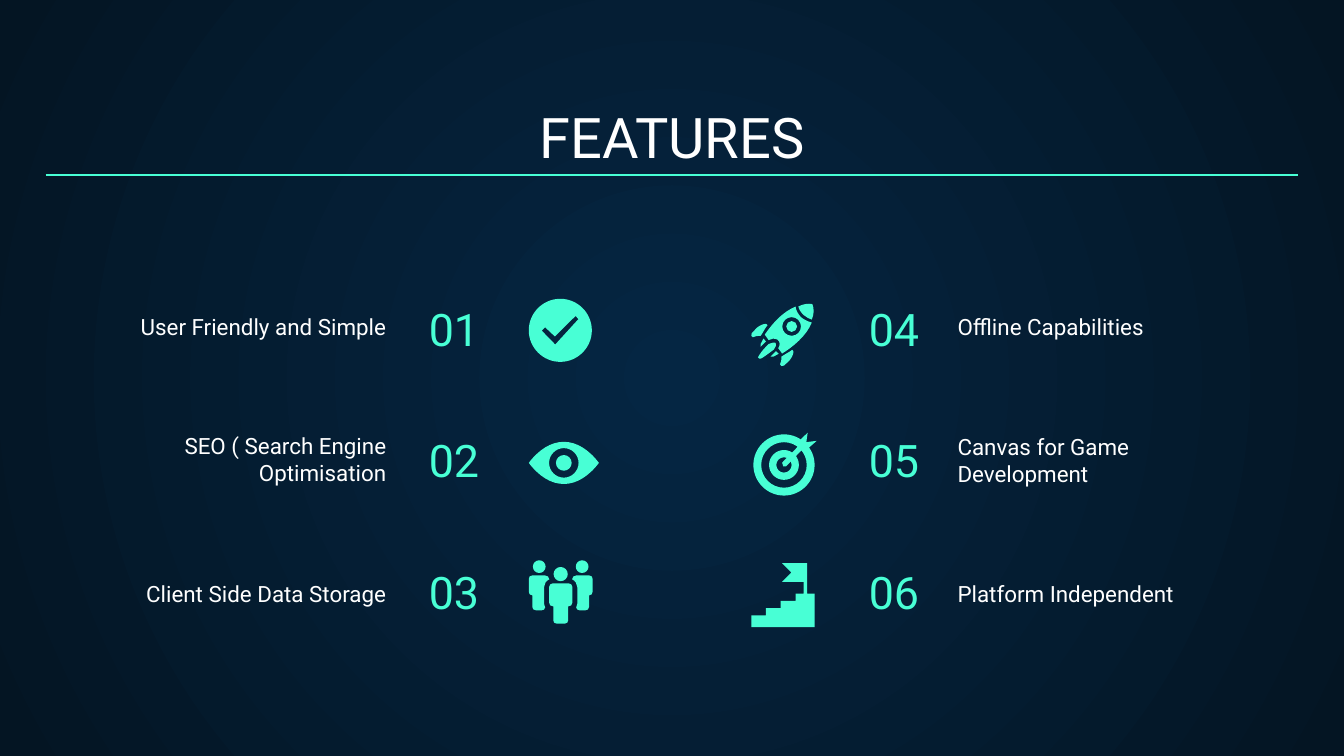
import dataclasses

import pptx
import pptx.dml.color
import pptx.enum.shapes
import pptx.enum.text
import pptx.oxml
import pptx.oxml.ns
import pptx.util

Pt = pptx.util.Pt
ALIGN = pptx.enum.text.PP_ALIGN
NAMESPACE = pptx.oxml.ns.nsdecls("a")


@dataclasses.dataclass
class Theme:
    accent: str = "48FFD5"
    text: str = "FFFFFF"
    center: str = "052643"
    edge: str = "041523"
    font: str = "Roboto"
    title_size: float = 30
    number_size: float = 24
    label_size: float = 12


def color(code):
    return pptx.dml.color.RGBColor.from_string(code)


def pairs(segment):
    return list(zip(segment[::2], segment[1::2]))


def circle(x, y, radius):
    pull = 0.55 * radius
    left, right, top, bottom = x - radius, x + radius, y - radius, y + radius
    return [(x, top), (x + pull, top, right, y - pull, right, y),
            (right, y + pull, x + pull, bottom, x, bottom),
            (x - pull, bottom, left, y + pull, left, y),
            (left, y - pull, x - pull, top, x, top)]


def flip(contour, axis):
    return [sum(((2 * axis - x, y) for x, y in pairs(segment)), ()) for segment in contour]


def flip_diagonal(contour, total):
    return [sum(((total - y, total - x) for x, y in pairs(segment)), ()) for segment in contour]


class SlideBuilder:
    """Draw styled elements on the current slide."""

    def __init__(self, slide, theme):
        self.slide = slide
        self.theme = theme

    def background(self):
        fill = self.slide.background.fill
        fill.gradient()
        for stop, code, position in zip(fill.gradient_stops,
                                        (self.theme.center, self.theme.edge), (0, 1)):
            stop.color.rgb = color(code)
            stop.position = position
        linear = self.slide.element.find(".//" + pptx.oxml.ns.qn("a:lin"))
        radial = pptx.oxml.parse_xml(
            f'<a:path {NAMESPACE} path="circle">'
            '<a:fillToRect l="50000" t="50000" r="50000" b="50000"/></a:path>')
        linear.getparent().replace(linear, radial)

    def text(self, words, left, top, width, height, size, code, align):
        box = self.slide.shapes.add_textbox(Pt(left), Pt(top), Pt(width), Pt(height))
        frame = box.text_frame
        frame.word_wrap = True
        frame.vertical_anchor = pptx.enum.text.MSO_ANCHOR.BOTTOM
        frame.margin_left = frame.margin_right = Pt(7.2)
        frame.margin_top = frame.margin_bottom = Pt(7.2)
        frame.text = words
        para = frame.paragraphs[0]
        para.alignment = align
        span = para.runs[0]
        span.font.size = Pt(size)
        span.font.name = self.theme.font
        span.font.color.rgb = color(code)

    def rule(self, left, right, y):
        line = self.slide.shapes.add_connector(
            pptx.enum.shapes.MSO_CONNECTOR.STRAIGHT, Pt(left), Pt(y), Pt(right), Pt(y))
        line.line.color.rgb = color(self.theme.accent)
        line.line.width = Pt(0.75)
        line._element.spPr.append(pptx.oxml.parse_xml(f'<a:effectLst {NAMESPACE}/>'))

    def outline(self, *contours):
        anchors = [[(Pt(segment[-2]), Pt(segment[-1])) for segment in contour]
                   for contour in contours]
        builder = self.slide.shapes.build_freeform(*anchors[0][0], scale=1.0)
        for index, points in enumerate(anchors):
            if index:
                builder.move_to(*points[0])
            builder.add_line_segments(points[1:], close=False)
            builder.add_line_segments([], close=True)
        shape = builder.convert_to_shape()
        self.bend(shape, [segment for contour in contours for segment in contour[1:]])
        shape.fill.solid()
        shape.fill.fore_color.rgb = color(self.theme.accent)
        shape.line.fill.background()
        shape.shadow.inherit = False

    def bend(self, shape, segments):
        edges = list(shape._element.iter(pptx.oxml.ns.qn("a:lnTo")))
        for edge, segment in zip(edges, segments):
            if len(segment) == 6:
                points = "".join(f'<a:pt x="{Pt(x) - shape.left}" y="{Pt(y) - shape.top}"/>'
                                 for x, y in pairs(segment))
                cubic = pptx.oxml.parse_xml(
                    f'<a:cubicBezTo {NAMESPACE}>{points}</a:cubicBezTo>')
                edge.getparent().replace(edge, cubic)


def draw_check(page):
    page.outline(circle(300.2, 177, 16.9),
                 [(308.4, 169.3), (309.9, 171), (297.5, 184.6),
                  (290.3, 177.2), (292.1, 175.4), (297.3, 180.3)])


def draw_eye(page):
    lids = [(283.3, 248), (288.7, 240.9, 295.2, 236.7, 302.1, 236.7),
            (309, 236.7, 315.5, 240.9, 320.9, 248),
            (315.5, 255.1, 309, 259.3, 302.1, 259.3),
            (295.2, 259.3, 288.7, 255.1, 283.3, 248)]
    page.outline(lids, circle(302.1, 248, 7.9), circle(302.1, 248, 4.2))


def draw_people(page):
    axis = 300.4
    head = circle(288.9, 303.6, 3.4)
    torso = [(285.2, 308.3), (292, 308.3), (293.3, 308.3, 294.3, 309.2, 294.3, 310.4),
             (292.6, 311.2, 291.5, 312.8, 291.5, 314.6), (291.5, 323.5),
             (291.5, 324.2, 291.7, 324.9, 292.1, 325.5), (291.9, 326.5, 291.2, 327, 290.2, 327),
             (287.2, 327), (286, 327, 285.2, 326.3, 285.2, 325.2), (285.2, 319),
             (284, 319, 283.3, 318.2, 283.3, 317), (283.3, 310.2),
             (283.3, 309, 284, 308.3, 285.2, 308.3)]
    for part in (head, torso):
        page.outline(part)
        page.outline(flip(part, axis))
    page.outline([(296, 312.6), (304.8, 312.6), (305.8, 312.6, 306.6, 313.4, 306.6, 314.4),
                  (306.6, 323), (306.6, 324.1, 305.8, 324.9, 304.4, 324.9), (304.4, 332.4),
                  (304.4, 333.4, 303.7, 334.1, 302.7, 334.1), (298.1, 334.1),
                  (297.1, 334.1, 296.4, 333.4, 296.4, 332.4), (296.4, 324.9),
                  (295, 324.9, 294.2, 324.1, 294.2, 323), (294.2, 314.4),
                  (294.2, 313.4, 295, 312.6, 296, 312.6)])
    page.outline(circle(axis, 307.6, 3.8))


def draw_rocket(page):
    smoke = [(409, 181.4), (407.5, 184.3), (407.5, 185.8), (410.4, 182.9)]
    fin = [(410.4, 173.5), (409, 173.5, 407, 174.3, 405.4, 175.7),
           (402.7, 178.6), (402.5, 180), (403.4, 180.7),
           (404.6, 180, 406, 179.9, 407.5, 180),
           (409, 177.8, 410, 175.6, 411.2, 174.2)]
    for part in (smoke, fin):
        page.outline(part)
        page.outline(flip_diagonal(part, 598.6))
    page.outline([(414, 183.6), (411.8, 184.3),
                  (408.2, 187.9, 406.8, 190, 406.1, 191.5),
                  (406.8, 192.2), (407.5, 192.2),
                  (409, 191.5, 411, 190, 414.7, 187.2),
                  (415.5, 186.4, 416.2, 184.3, 415.4, 183.6)])
    page.outline(circle(424.1, 174.9, 2.9))
    page.outline([(427.7, 164.2), (427.9, 165.6, 429, 167.3, 430.6, 168.8),
                  (432, 170, 433.5, 170.8, 434.9, 171.2),
                  (436, 168.5, 436.3, 165.5, 435.2, 162.9),
                  (432.8, 162.4, 430.2, 162.9, 427.7, 164.2)])
    page.outline([(426.2, 164.2), (419.8, 167, 414.7, 172, 409.7, 179.3),
                  (411.8, 182.2), (413, 181.3, 415, 181.1, 416.6, 182),
                  (418, 183.2, 418, 185, 416.9, 186.5), (419, 189.4),
                  (424.8, 185.8, 432, 180, 434.9, 172.8),
                  (432.5, 172.2, 430.5, 171, 429.1, 169.9),
                  (427.4, 168, 426.4, 166.2, 426.2, 164.2)],
                 circle(424.1, 174.9, 5))


def draw_target(page):
    page.outline(*(circle(420, 249.1, radius) for radius in (16.4, 12.2, 8, 4.1)))
    page.outline([(419, 247.9), (429, 237.7), (429, 235.4), (432.7, 231.8),
                  (432, 236.9), (437.5, 236.2), (433.4, 239.8), (430.6, 240),
                  (421.2, 249.8), (419.6, 249.8)])


def draw_stairs(page):
    page.outline([(419, 301.7), (424, 306.7), (419, 311.8), (430.6, 311.8),
                  (430.6, 318), (426.2, 318), (426.2, 321.9), (418.3, 321.9),
                  (418.3, 325.8), (410.4, 325.8), (410.4, 329.7), (402.5, 329.7),
                  (402.5, 336), (436.4, 336), (436.4, 318), (432.5, 318), (432.5, 301.7)])


def main():
    theme = Theme()
    deck = pptx.Presentation()
    deck.slide_width, deck.slide_height = Pt(720), Pt(405)
    page = SlideBuilder(deck.slides.add_slide(deck.slide_layouts[6]), theme)
    page.background()
    page.text("FEATURES", 24.5, 50.7, 671, 47.5, theme.title_size, theme.text, ALIGN.CENTER)
    columns = [
        (222.6, 50.7, ALIGN.LEFT, ALIGN.RIGHT,
         [("User Friendly and Simple", 174.3), ("SEO ( Search Engine Optimisation", 252.3),
          ("Client Side Data Storage", 317.1)]),
        (406.6, 505.9, ALIGN.RIGHT, ALIGN.LEFT,
         [("Offline Capabilities", 174.3), ("Canvas for Game Development", 252.9),
          ("Platform Independent", 317.1)]),
    ]
    number = 0
    for number_left, label_left, number_align, label_align, labels in columns:
        for row, (label, label_top) in enumerate(labels):
            number += 1
            page.text(f"{number:02}", number_left, 150.1 + 70.4 * row, 92.9, 47.5,
                      theme.number_size, theme.accent, number_align)
            page.text(label, label_left, label_top, 163.4, 15.1,
                      theme.label_size, theme.text, label_align)
    for draw in (draw_check, draw_eye, draw_people, draw_rocket, draw_target, draw_stairs):
        draw(page)
    page.rule(24.5, 695.5, 93.8)
    deck.save("out.pptx")


if __name__ == "__main__":
    main()
